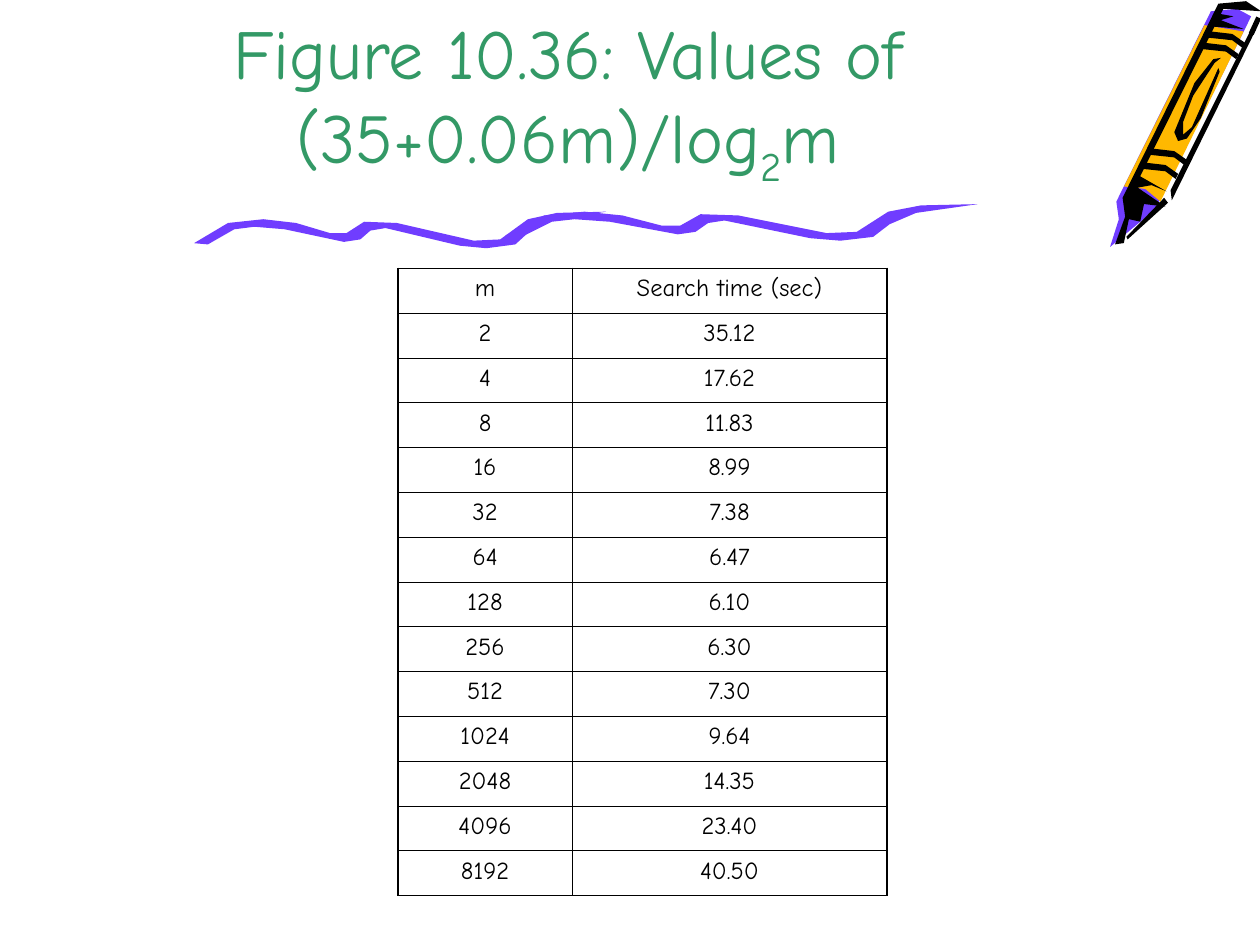
import pptx
import pptx.dml.color
import pptx.enum.shapes
import pptx.enum.text
import pptx.oxml
import pptx.oxml.ns
import pptx.util

PX = 9144  # 100 px to the inch
FONT = "Comic Neue"
COLORS = {
    "title": "339966",
    "purple": "703DFF",
    "orange": "FFB800",
    "black": "000000",
}


def rgb(name):
    return pptx.dml.color.RGBColor.from_string(COLORS[name])


def add_border(cell, side, width):
    """Draw one cell side (L, R, T or B) in black, with the width in points."""
    cell._tc.get_or_add_tcPr().append(pptx.oxml.parse_xml(
        f'<a:ln{side} {pptx.oxml.ns.nsdecls("a")} w="{pptx.util.Pt(width)}">'
        f'<a:solidFill><a:srgbClr val="{COLORS["black"]}"/></a:solidFill>'
        f'</a:ln{side}>'))


deck = pptx.Presentation()
deck.slide_width = 1000 * PX
deck.slide_height = 750 * PX
slide = deck.slides.add_slide(deck.slide_layouts[6])

# Crayon, back to front
ends = [(993, 13), (917, 166), (881, 196), (888, 174), (886, 160), (961, 9), (982, 7)]
wrapper = [(921, 160), (909, 150), (892, 148), (956, 20), (987, 25)]
tip_shadow = [(927, 161), (895, 190), (894, 188), (924, 157)]
blunt_shadow = [(987, 23), (961, 21), (968, 11), (979, 13), (969, 16)]
oval = [(968, 57), (953, 94), (942, 110), (935, 112), (932, 105), (948, 66), (963, 47),
        (969, 46), (964, 50), (947, 76), (939, 97), (939, 107), (946, 101), (967, 54)]
right_edge = [(997, 23), (930, 159), (929, 151), (993, 23)]
left_edge = [(925, 164), (903, 149), (914, 147), (926, 152), (905, 140), (971, 7),
             (1001, 9), (989, 1), (967, 3), (891, 157), (893, 172), (885, 194),
             (892, 193), (896, 174), (905, 176), (908, 162)]
outlines = [("purple", ends), ("orange", wrapper)]
outlines += [("black", part)
             for part in (tip_shadow, blunt_shadow, oval, right_edge, left_edge)]

# The same band twice near the tip and twice near the blunt end
band = [(0, 0), (-8, -6), (-27, -8), (-25, -13), (-8, -11), (2, -4)]
for left, top in [(933, 142), (940, 131), (981, 47), (986, 38)]:
    outlines.append(("black", [(left + x, top + y) for x, y in band]))

# Underline: one wave, then the same wave stretched and raised
wave = [(165, 194), (186, 182), (202, 180), (226, 182), (273, 192), (286, 190), (294, 183),
        (306, 181), (365, 195), (386, 197), (409, 194), (420, 184), (438, 175), (481, 168),
        (442, 169), (419, 174), (397, 190), (376, 191), (315, 177), (289, 176), (275, 185),
        (262, 185), (235, 177), (209, 174), (181, 177), (154, 193)]
outlines.append(("purple", wave))
outlines.append(("purple", [(round(225 + 1.145 * x), y - 6) for x, y in wave]))

for color, points in outlines:
    builder = slide.shapes.build_freeform(*points[0], scale=PX)
    builder.add_line_segments(points[1:], close=True)
    outline = builder.convert_to_shape()
    outline.shadow.inherit = False
    outline.fill.solid()
    outline.fill.fore_color.rgb = rgb(color)
    outline.line.fill.background()

crayon_corner = slide.shapes.add_connector(
    pptx.enum.shapes.MSO_CONNECTOR.STRAIGHT, 999 * PX, 14 * PX, 993 * PX, 27 * PX)
crayon_corner.line.color.rgb = rgb("black")
crayon_corner.line.width = pptx.util.Pt(3)
crayon_corner._element.spPr.append(
    pptx.oxml.parse_xml(f'<a:effectLst {pptx.oxml.ns.nsdecls("a")}/>'))

# Title
title = slide.shapes.add_textbox(75 * PX, 0, 751 * PX, 155 * PX).text_frame
title.word_wrap = True
title.vertical_anchor = pptx.enum.text.MSO_ANCHOR.BOTTOM
heading = title.paragraphs[0]
heading.alignment = pptx.enum.text.PP_ALIGN.CENTER
heading.font.name = FONT
heading.font.size = pptx.util.Pt(40)
heading.font.color.rgb = rgb("title")
for text, baseline in [("Figure 10.36: Values of (35+0.06m)/log", 0), ("2", -25000), ("m", 0)]:
    run = heading.add_run()
    run.text = text
    if baseline:
        run._r.get_or_add_rPr().set("baseline", str(baseline))

# Search times for m = 2, 4, 8, ...
search_times = ["35.12", "17.62", "11.83", "8.99", "7.38", "6.47", "6.10",
                "6.30", "7.30", "9.64", "14.35", "23.40", "40.50"]
rows = [("m", "Search time (sec)")]
rows += [(str(2 ** power), time) for power, time in enumerate(search_times, start=1)]
last_row = len(rows) - 1

table = slide.shapes.add_table(
    len(rows), 2, 316 * PX, 213 * PX, 388 * PX, 498 * PX).table
table.first_row = False
table.horz_banding = False
table.columns[0].width = 138 * PX
table.columns[1].width = 250 * PX
for r, values in enumerate(rows):
    for c, value in enumerate(values):
        cell = table.cell(r, c)
        outer_sides = {"L": c == 0, "R": c == 1, "T": r == 0, "B": r == last_row}
        for side, is_outer in outer_sides.items():
            add_border(cell, side, 1.08 if is_outer else 0.45)
        cell.fill.background()
        cell.text = value
        entry = cell.text_frame.paragraphs[0]
        entry.alignment = pptx.enum.text.PP_ALIGN.CENTER
        entry.font.name = FONT
        entry.font.size = pptx.util.Pt(14)
        entry.font.color.rgb = rgb("black")

deck.save("out.pptx")
